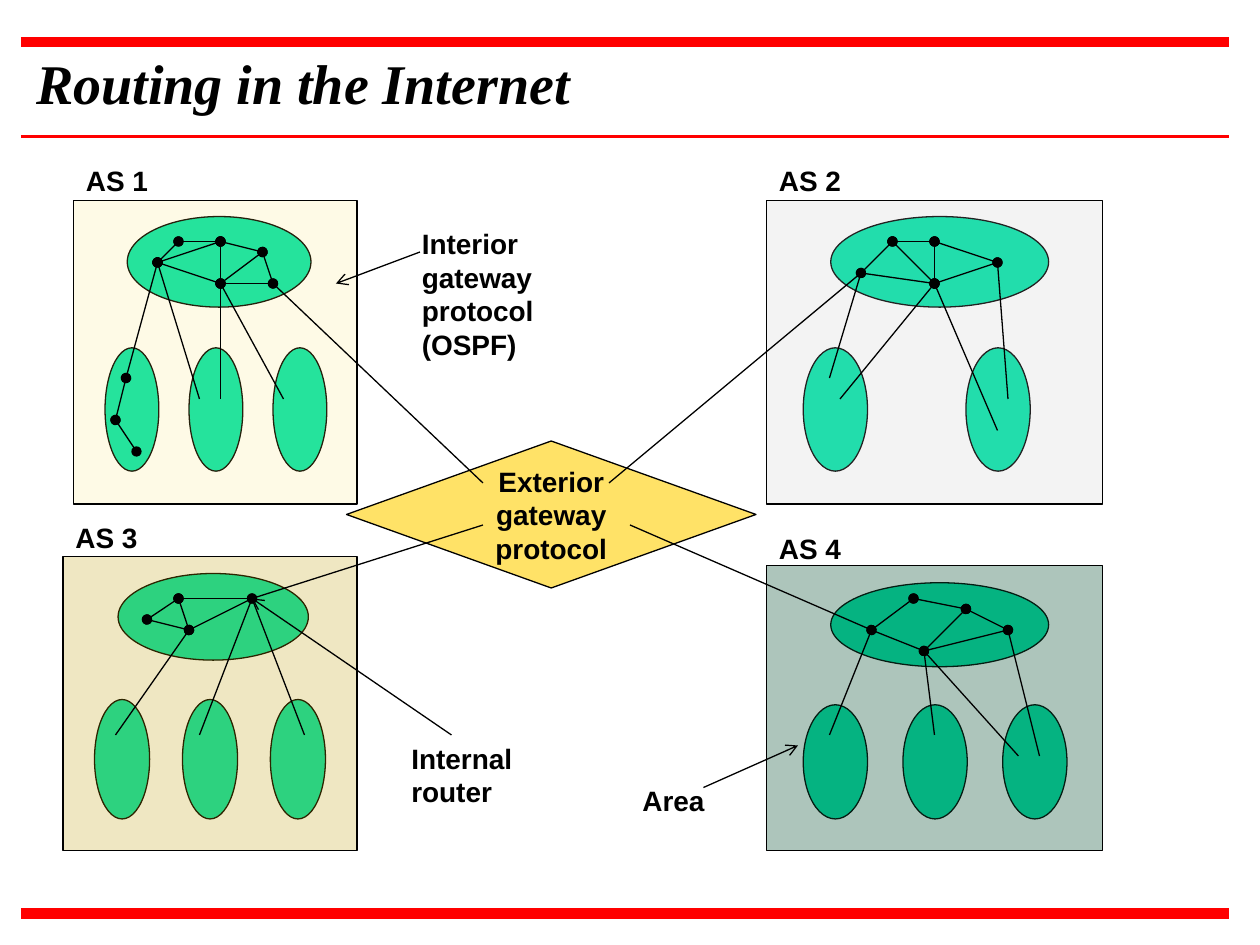
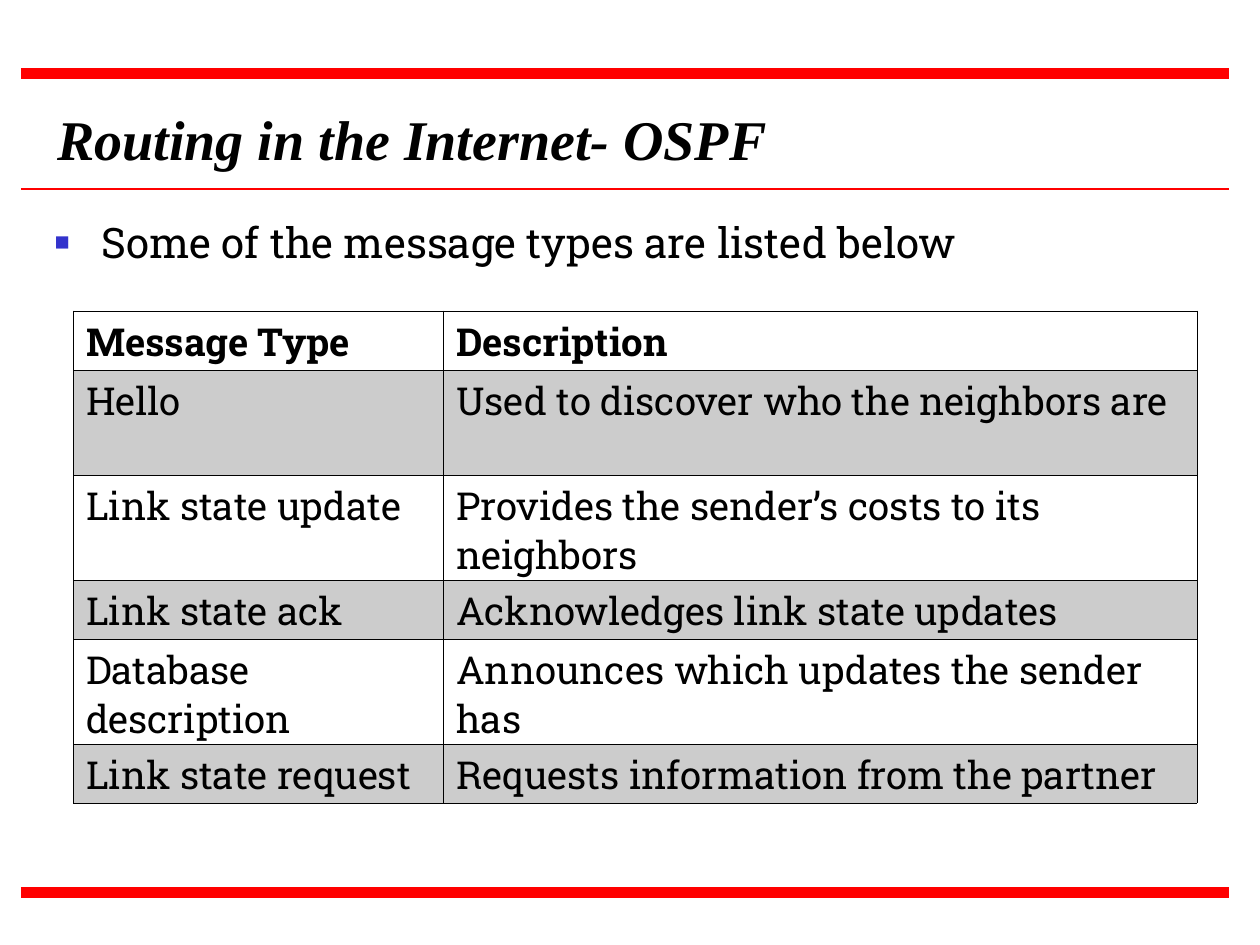
from lxml import etree
from pptx import Presentation
from pptx import util as u
from pptx.dml.color import RGBColor
from pptx.enum import shapes, text
from pptx.oxml.ns import qn

COLORS = {
    "band": "FF0000", "ink": "000000", "area": "00E4A8", "exterior": "FFE267",
    "bullet": "3333CC", "as1": "FEDF59", "as2": "BFBFBF", "as3": "C09C00", "as4": "105638",
}
SANS, SERIF, SLAB = "Arial", "Times New Roman", "Roboto Slab"
PX = 9525
BAND_LEFT, BAND_RIGHT = 16, 936

MAP_FRAME = {"title": "Routing in the Internet", "box": (18, 32, 440, 61), "bands": (32, 104, 696)}
OSPF_FRAME = {"title": "Routing in the Internet- OSPF", "box": (34, 75, 576, 61), "bands": (56, 144, 680)}

EXTERIOR = ("Exterior gateway protocol", (264, 336, 312, 112))

SYSTEMS = [
    {
        "name": "AS 1", "label_top": 120, "box": (56, 153, 216, 231), "tint": "as1", "alpha": 15,
        "backbone": (97, 165, 140, 69), "areas": (80, 265, 41, 94), "count": 3, "step": 64,
        "routers": {"a": (120, 200), "b": (136, 184), "c": (168, 184), "d": (200, 192), "e": (168, 216),
                    "f": (208, 216), "g": (96, 288), "h": (88, 320), "i": (104, 344)},
        "links": "ab bc ac cd ce ed ef df ae ag gh hi",
        "spokes": [("a", (152, 304)), ("e", (168, 304)), ("e", (216, 304)), ("f", (368, 368))],
    },
    {
        "name": "AS 2", "label_top": 120, "box": (584, 153, 256, 231), "tint": "as2", "alpha": 18,
        "backbone": (633, 165, 166, 69), "areas": (612, 265, 49, 94), "count": 2, "step": 124,
        "routers": {"a": (656, 208), "b": (680, 184), "c": (712, 184), "d": (712, 216), "e": (760, 200)},
        "links": "de ab ad bd bc dc ce",
        "spokes": [("a", (632, 288)), ("d", (640, 304)), ("d", (760, 328)), ("e", (768, 304)),
                   ("a", (464, 368))],
    },
    {
        "name": "AS 3", "label_top": 392, "box": (48, 424, 224, 224), "tint": "as3", "alpha": 24,
        "backbone": (90, 437, 145, 66), "areas": (72, 533, 42, 91), "count": 3, "step": 67,
        "routers": {"a": (112, 472), "b": (136, 456), "c": (144, 480), "d": (192, 456)},
        "links": "ab bc ac bd cd",
        "spokes": [("c", (88, 560)), ("d", (152, 560)), ("d", (232, 560)), ("d", (368, 400))],
    },
    {
        "name": "AS 4", "label_top": 400, "box": (584, 431, 256, 217), "tint": "as4", "alpha": 34,
        "backbone": (633, 444, 166, 64), "areas": (612, 537, 49, 87), "count": 3, "step": 76,
        "routers": {"a": (664, 480), "b": (696, 456), "c": (704, 496), "d": (736, 464), "e": (768, 480)},
        "links": "ab ac cd bd ce de",
        "spokes": [("a", (480, 400)), ("a", (632, 560)), ("c", (712, 560)), ("c", (776, 576)),
                   ("e", (792, 576))],
    },
]

CALLOUTS = [
    ("Internal router", (304, 560, 144, 61), (344, 560), (192, 456)),
    ("Area", (480, 592, 80, 35), (536, 600), (608, 568)),
    ("Interior gateway protocol (OSPF)", (312, 168, 168, 112), (320, 192), (256, 216)),
]

INTRO = ("Some of the message types are listed below", (32, 160, 912, 496))
MESSAGES = [
    ("Message Type", "Description"),
    ("Hello", "Used to discover who the neighbors are"),
    ("Link state update", "Provides the sender’s costs to its neighbors"),
    ("Link state ack", "Acknowledges link state updates"),
    ("Database description", "Announces which updates the sender has"),
    ("Link state request", "Requests information from the partner"),
]
MESSAGES_AT = (56, 237)
COLUMN_WIDTHS = (282, 574)
ROW_HEIGHTS = (45, 80, 80, 45, 80, 45)


def px(*lengths):
    return [length * PX for length in lengths]


def rgb(name):
    return RGBColor.from_string(COLORS[name])


def add_xml(parent, tag, **attributes):
    return etree.SubElement(parent, qn(tag), {key: str(value) for key, value in attributes.items()})


def paint(target, properties, color, alpha=100):
    target.fill.solid()
    target.fill.fore_color.rgb = rgb(color)
    if alpha < 100:
        add_xml(properties.find(qn("a:solidFill"))[0], "a:alpha", val=alpha * 1000)


def write(frame, words, font, size, bold=False, italic=False):
    frame.text = words
    style = frame.paragraphs[0].runs[0].font
    style.name, style.size, style.bold, style.italic = font, u.Pt(size), bold, italic
    style.color.rgb = rgb("ink")


def draw_line(slide, start, end, color="ink", width=0.75, head=None, tail=None):
    line = slide.shapes.add_connector(shapes.MSO_CONNECTOR.STRAIGHT, *px(*start, *end))
    line.line.color.rgb = rgb(color)
    line.line.width = u.Pt(width)
    stroke = line.element.spPr.find(qn("a:ln"))
    for tag, kind in (("a:headEnd", head), ("a:tailEnd", tail)):
        if kind:
            add_xml(stroke, tag, type=kind)
    add_xml(line.element.spPr, "a:effectLst")


def draw_shape(slide, kind, box, color, alpha=100):
    shape = slide.shapes.add_shape(kind, *px(*box))
    shape.shadow.inherit = False
    paint(shape, shape.element.spPr, color, alpha)
    shape.line.color.rgb = rgb("ink")
    shape.line.width = u.Pt(0.75)
    return shape


def draw_label(slide, words, box):
    label = slide.shapes.add_textbox(*px(*box))
    label.text_frame.word_wrap = True
    write(label.text_frame, words, SANS, 16, bold=True)


def place(placeholder, box):
    placeholder.left, placeholder.top, placeholder.width, placeholder.height = px(*box)
    frame = placeholder.text_frame
    frame.auto_size = text.MSO_AUTO_SIZE.NONE
    frame.vertical_anchor = text.MSO_ANCHOR.TOP
    return frame


def start_slide(deck, layout, frame):
    slide = deck.slides.add_slide(deck.slide_layouts[layout])
    for y, width in zip(frame["bands"], (6, 1.5, 6)):
        draw_line(slide, (BAND_LEFT, y), (BAND_RIGHT, y), "band", width)
    title = place(slide.shapes.title, frame["box"])
    write(title, frame["title"], SERIF, 32, bold=True, italic=True)
    title.paragraphs[0].alignment = text.PP_ALIGN.LEFT
    return slide


def draw_system(slide, system):
    oval = shapes.MSO_SHAPE.OVAL
    draw_shape(slide, oval, system["backbone"], "area")
    left, top, width, height = system["areas"]
    for index in range(system["count"]):
        draw_shape(slide, oval, (left + index * system["step"], top, width, height), "area")
    draw_shape(slide, shapes.MSO_SHAPE.RECTANGLE, system["box"], system["tint"], system["alpha"])
    draw_label(slide, system["name"], (system["box"][0], system["label_top"], 112, 35))
    routers = system["routers"]
    for start, end in system["links"].split():
        draw_line(slide, routers[start], routers[end], head="oval", tail="oval")
    for router, end in system["spokes"]:
        draw_line(slide, routers[router], end)


def build_map(deck):
    slide = start_slide(deck, 5, MAP_FRAME)
    words, box = EXTERIOR
    exterior = draw_shape(slide, shapes.MSO_SHAPE.DIAMOND, box, "exterior").text_frame
    exterior.word_wrap = True
    exterior.vertical_anchor = text.MSO_ANCHOR.MIDDLE
    write(exterior, words, SANS, 16, bold=True)
    exterior.paragraphs[0].alignment = text.PP_ALIGN.CENTER
    for system in SYSTEMS:
        draw_system(slide, system)
    for words, box, start, end in CALLOUTS:
        draw_line(slide, start, end, tail="arrow")
        draw_label(slide, words, box)


def write_intro(slide):
    words, box = INTRO
    frame = place(slide.placeholders[1], box)
    write(frame, words, SLAB, 24)
    paragraph = frame.paragraphs[0]
    paragraph.space_before = u.Pt(0)
    properties = paragraph._p.get_or_add_pPr()
    properties.set("marL", str(36 * PX))
    properties.set("indent", str(-36 * PX))
    add_xml(add_xml(properties, "a:buClr"), "a:srgbClr", val=COLORS["bullet"])
    add_xml(properties, "a:buSzPct", val=60000)
    add_xml(properties, "a:buChar", char="■")


def build_messages(deck):
    slide = start_slide(deck, 1, OSPF_FRAME)
    write_intro(slide)
    size = sum(COLUMN_WIDTHS), sum(ROW_HEIGHTS)
    table = slide.shapes.add_table(len(MESSAGES), len(COLUMN_WIDTHS), *px(*MESSAGES_AT, *size)).table
    table.first_row = table.horz_banding = False
    for column, width in zip(table.columns, px(*COLUMN_WIDTHS)):
        column.width = width
    for index, (row, height, message) in enumerate(zip(table.rows, px(*ROW_HEIGHTS), MESSAGES)):
        row.height = height
        for cell, words in zip(row.cells, message):
            cell.margin_bottom = 0
            properties = cell._tc.get_or_add_tcPr()
            for side in "LRTB":
                border = add_xml(properties, "a:ln" + side, w=u.Pt(0.45))
                add_xml(add_xml(border, "a:solidFill"), "a:srgbClr", val=COLORS["ink"])
            if index % 2:
                paint(cell, properties, "ink", 20)
            else:
                cell.fill.background()
            write(cell.text_frame, words, SLAB, 22, bold=index == 0)
            cell.text_frame.paragraphs[0].line_spacing = 0.96


def main():
    deck = Presentation()
    deck.slide_width, deck.slide_height = px(960, 720)
    build_map(deck)
    build_messages(deck)
    deck.save("out.pptx")


if __name__ == "__main__":
    main()
